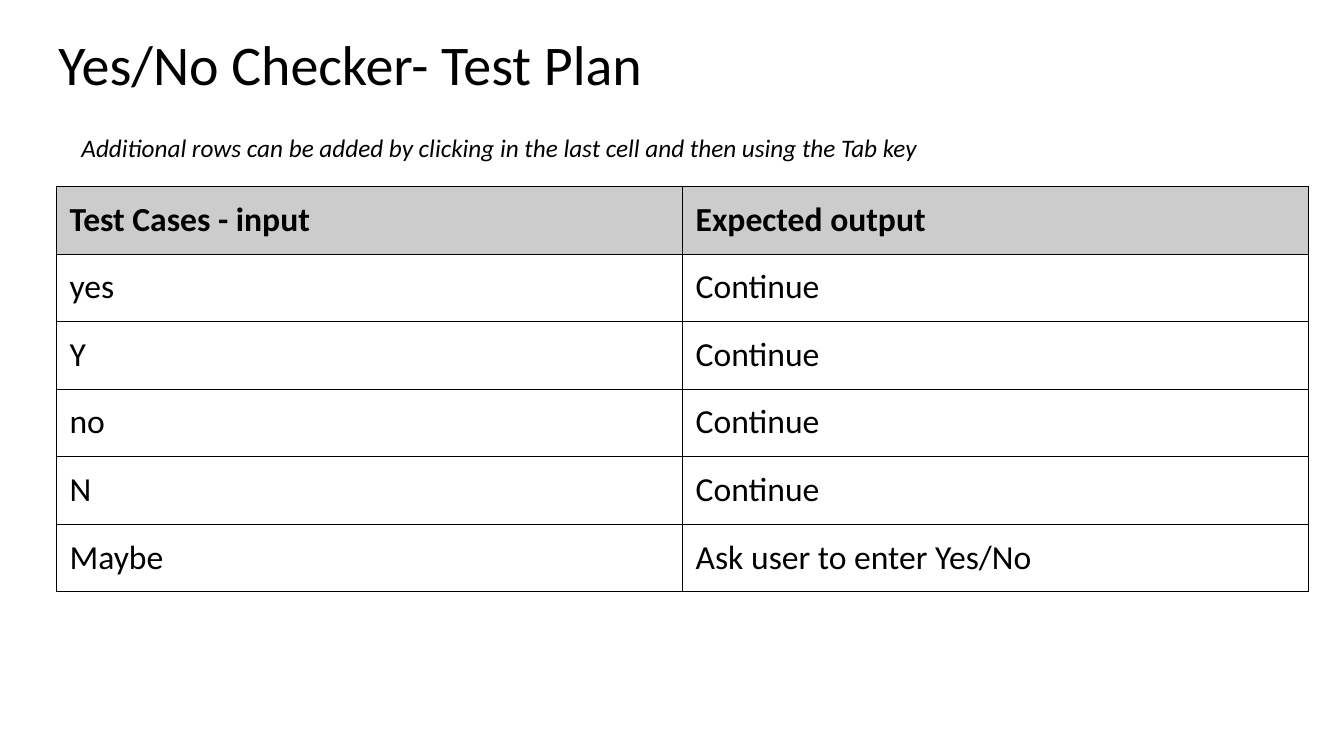
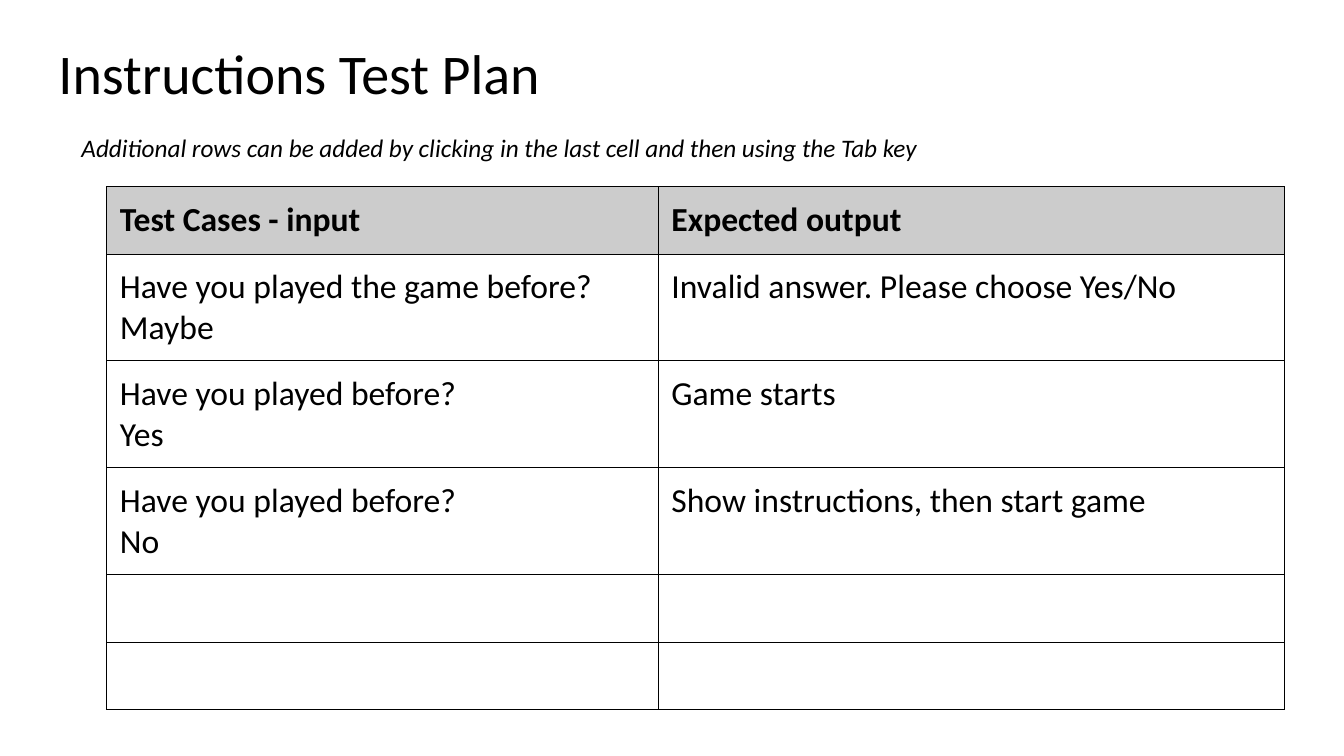
from dataclasses import dataclass

from lxml.etree import SubElement
from pptx import Presentation
from pptx.dml.color import RGBColor
from pptx.enum.text import MSO_ANCHOR
from pptx.oxml.ns import qn
from pptx.util import Inches, Pt


@dataclass(frozen=True)
class Theme:
    font: str = "Calibri"
    ink: str = "000000"
    header_fill: str = "CCCCCC"
    title_size: int = 40
    table_size: int = 24
    hint_size: int = 18
    border: float = 0.75
    inset: float = 0.13
    row_height: float = 0.67


@dataclass(frozen=True)
class TestPlan:
    title: str
    title_top: float
    table_left: float
    col_widths: tuple[float, ...]
    rows: tuple[tuple[str, str], ...]


THEME = Theme()
HEADER = ("Test Cases - input", "Expected output")
HINT = "Additional rows can be added by clicking in the last cell and then using the Tab key"

PLANS = (
    TestPlan("Yes/No Checker- Test Plan", 0.24, 0.56, (6.21, 6.21), (
        ("yes", "Continue"),
        ("Y", "Continue"),
        ("no", "Continue"),
        ("N", "Continue"),
        ("Maybe", "Ask user to enter Yes/No"),
    )),
    TestPlan("Instructions Test Plan", 0.33, 1.06, (5.47, 6.21), (
        ("Have you played the game before?\nMaybe", "Invalid answer. Please choose Yes/No"),
        ("Have you played before?\nYes", "Game starts"),
        ("Have you played before?\nNo", "Show instructions, then start game"),
        ("", ""),
        ("", ""),
    )),
)


def write_text(tf, text: str, size: int, bold: bool = False, italic: bool = False) -> None:
    """Write one paragraph for each line of text."""
    for i, line in enumerate(text.split("\n")):
        p = tf.add_paragraph() if i else tf.paragraphs[0]
        p.font.size = Pt(size)
        if line:
            r = p.add_run()
            r.text = line
            r.font.name = THEME.font
            r.font.size = Pt(size)
            r.font.bold = bold
            r.font.italic = italic
            r.font.color.rgb = RGBColor.from_string(THEME.ink)


def set_margins(box) -> None:
    inset = Inches(THEME.inset)
    box.margin_left = box.margin_right = inset
    box.margin_top = box.margin_bottom = inset


def add_text_box(slide, left: float, top: float, width: float, height: float):
    sp = slide.shapes.add_textbox(Inches(left), Inches(top), Inches(width), Inches(height))
    sp.text_frame.word_wrap = True
    return sp.text_frame


def add_title(slide, plan: TestPlan) -> None:
    tf = add_text_box(slide, 0.45, plan.title_top, 12.42, 0.84)
    set_margins(tf)
    write_text(tf, plan.title, THEME.title_size)
    tf.paragraphs[0].line_spacing = 0.9


def add_hint(slide) -> None:
    tf = add_text_box(slide, 0.71, 1.26, 10.94, 0.4)
    write_text(tf, HINT, THEME.hint_size, italic=True)


def set_borders(cell) -> None:
    tc_pr = cell._tc.get_or_add_tcPr()
    for side in ("lnL", "lnR", "lnT", "lnB"):
        ln = SubElement(tc_pr, qn(f"a:{side}"), w=str(Pt(THEME.border)))
        fill = SubElement(ln, qn("a:solidFill"))
        SubElement(fill, qn("a:srgbClr"), val=THEME.ink)


def format_cell(cell, text: str, is_header: bool) -> None:
    set_margins(cell)
    cell.vertical_anchor = MSO_ANCHOR.TOP
    set_borders(cell)
    if is_header:
        cell.fill.solid()
        cell.fill.fore_color.rgb = RGBColor.from_string(THEME.header_fill)
    else:
        cell.fill.background()
    write_text(cell.text_frame, text, THEME.table_size, bold=is_header)


def add_plan_table(slide, plan: TestPlan) -> None:
    rows = (HEADER, *plan.rows)
    table = slide.shapes.add_table(
        len(rows), len(HEADER), Inches(plan.table_left), Inches(1.85),
        Inches(sum(plan.col_widths)), Inches(THEME.row_height * len(rows)),
    ).table
    table.first_row = table.horz_banding = False
    for col, width in zip(table.columns, plan.col_widths):
        col.width = Inches(width)
    for r, texts in enumerate(rows):
        table.rows[r].height = Inches(THEME.row_height)
        for c, text in enumerate(texts):
            format_cell(table.cell(r, c), text, is_header=r == 0)


def main() -> None:
    prs = Presentation()
    prs.slide_width, prs.slide_height = Inches(13.33), Inches(7.5)
    blank = prs.slide_layouts[6]
    for plan in PLANS:
        slide = prs.slides.add_slide(blank)
        add_title(slide, plan)
        add_plan_table(slide, plan)
        add_hint(slide)
    prs.save("out.pptx")


if __name__ == "__main__":
    main()
